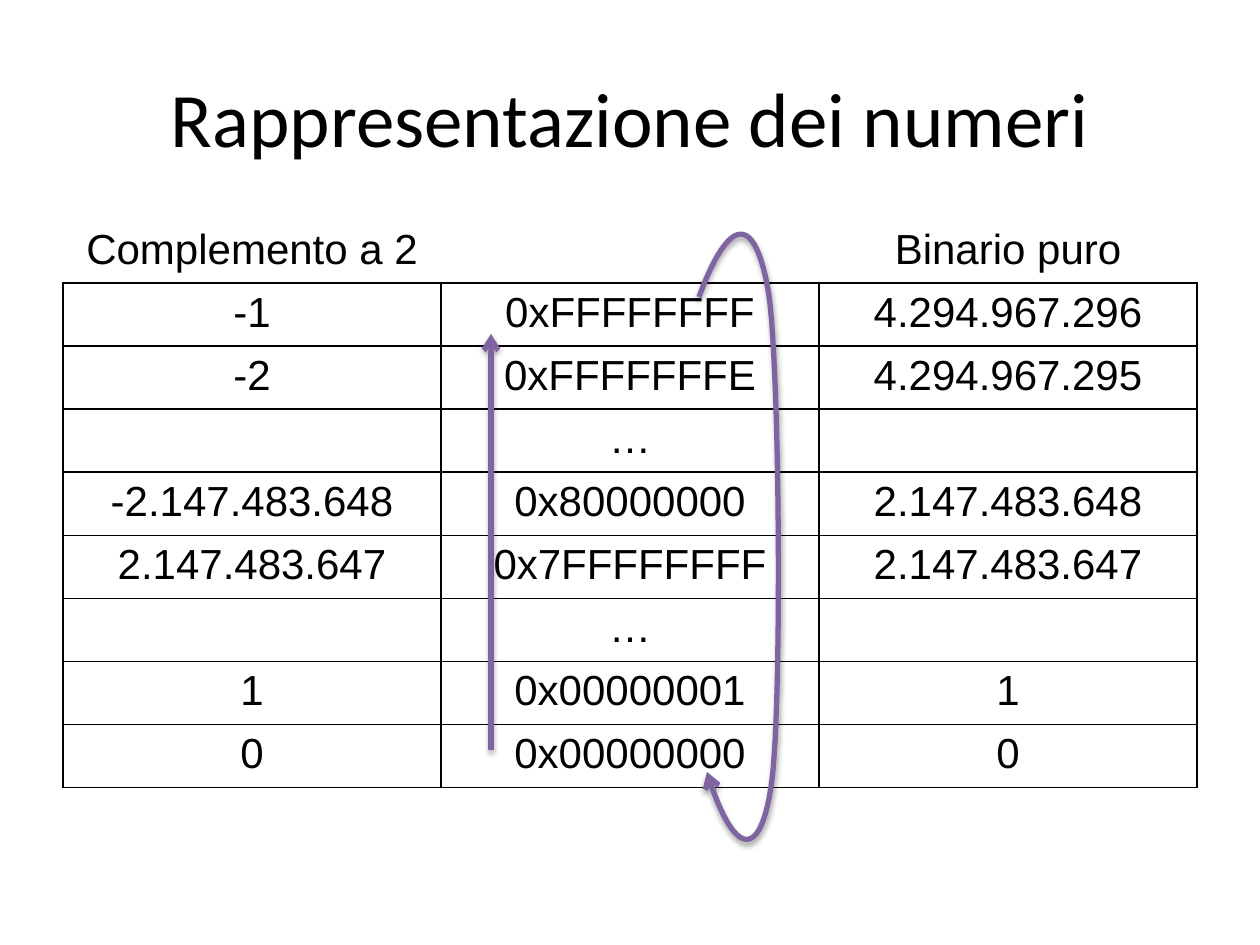
from lxml.etree import SubElement
from pptx import Presentation
from pptx.dml.color import RGBColor
from pptx.enum.shapes import MSO_CONNECTOR
from pptx.enum.text import MSO_ANCHOR, PP_ALIGN
from pptx.oxml import parse_xml
from pptx.oxml.ns import nsdecls, qn
from pptx.util import Emu, Pt

SCALE = 914400 / 126
INK = "000000"
PURPLE = "8064A2"
TITLE = {"name": "Calibri", "size": Pt(44)}
BODY = {"name": "Arial", "size": Pt(24)}
ROWS = [
    ("Complemento a 2", "", "Binario puro"),
    ("-1", "0xFFFFFFFF", "4.294.967.296"),
    ("-2", "0xFFFFFFFE", "4.294.967.295"),
    ("", "…", ""),
    ("-2.147.483.648", "0x80000000", "2.147.483.648"),
    ("2.147.483.647", "0x7FFFFFFFF", "2.147.483.647"),
    ("", "…", ""),
    ("1", "0x00000001", "1"),
    ("0", "0x00000000", "0"),
]
LOOP = [
    (699, 297), (730, 213), (756, 214), (769, 295), (780, 375),
    (782, 701), (772, 780), (762, 859), (735, 862), (707, 772),
]


def px(num):
    return Emu(round(num * SCALE))


def color(code):
    return RGBColor.from_string(code)


def write(frame, text, style):
    para = frame.paragraphs[0]
    para.alignment = PP_ALIGN.CENTER
    if not text:
        return
    run = para.add_run()
    run.text = text
    for key, value in style.items():
        setattr(run.font, key, value)
    run.font.color.rgb = color(INK)


def add_title(slide, text):
    box = slide.shapes.add_textbox(px(63), px(38), px(1134), px(158))
    frame = box.text_frame
    for key, value in {"word_wrap": True, "vertical_anchor": MSO_ANCHOR.MIDDLE}.items():
        setattr(frame, key, value)
    write(frame, text, TITLE)


def add_edge(cell, sides):
    props = cell._tc.get_or_add_tcPr()
    for spot, side in enumerate(sides):
        props.insert(spot, parse_xml(
            f'<a:ln{side} {nsdecls("a")} w="12700"><a:solidFill>'
            f'<a:srgbClr val="{INK}"/></a:solidFill></a:ln{side}>'))


def add_grid(slide):
    high = [60 if all(row) else 64 for row in ROWS]
    grid = slide.shapes.add_table(
        len(ROWS), 3, px(63), px(220), px(1134), px(sum(high))).table
    for key in ("first_row", "horz_banding"):
        setattr(grid, key, False)
    for col in grid.columns:
        col.width = px(378)
    for i, row in enumerate(ROWS):
        grid.rows[i].height = px(high[i] - 1)
        for j, text in enumerate(row):
            cell = grid.cell(i, j)
            write(cell.text_frame, text, BODY)
            cell.fill.background()
            add_edge(cell, "LRTB" if i else "B")


def set_arrow(shape):
    shape.line.color.rgb = color(PURPLE)
    shape.line.width = Pt(3)
    props = shape._element.spPr
    SubElement(props.find(qn("a:ln")), qn("a:tailEnd"), type="arrow")
    props.append(parse_xml(
        f'<a:effectLst {nsdecls("a")}><a:outerShdw blurRad="40000" dist="23000" '
        f'dir="5400000" rotWithShape="0"><a:srgbClr val="{INK}">'
        '<a:alpha val="35000"/></a:srgbClr></a:outerShdw></a:effectLst>'))


def curve(knots, steps=24):
    for i in range(0, len(knots) - 1, 3):
        for k in range(1, steps + 1):
            t = k / steps
            mix = ((1 - t) ** 3, 3 * t * (1 - t) ** 2, 3 * t * t * (1 - t), t ** 3)
            yield tuple(
                sum(m * knot[axis] for m, knot in zip(mix, knots[i:i + 4]))
                for axis in (0, 1))


def add_loop(slide):
    pen = slide.shapes.build_freeform(
        round(LOOP[0][0] * SCALE), round(LOOP[0][1] * SCALE))
    pen.add_line_segments([(px(x), px(y)) for x, y in curve(LOOP)], close=False)
    shape = pen.convert_to_shape()
    shape.fill.background()
    set_arrow(shape)


def add_arrow(slide):
    line = slide.shapes.add_connector(
        MSO_CONNECTOR.STRAIGHT, px(491), px(750), px(491), px(334))
    set_arrow(line)


def main():
    deck = Presentation()
    deck.slide_width, deck.slide_height = px(1260), px(945)
    slide = deck.slides.add_slide(deck.slide_layouts[6])
    add_title(slide, "Rappresentazione dei numeri")
    add_grid(slide)
    add_loop(slide)
    add_arrow(slide)
    deck.save("out.pptx")


if __name__ == "__main__":
    main()
